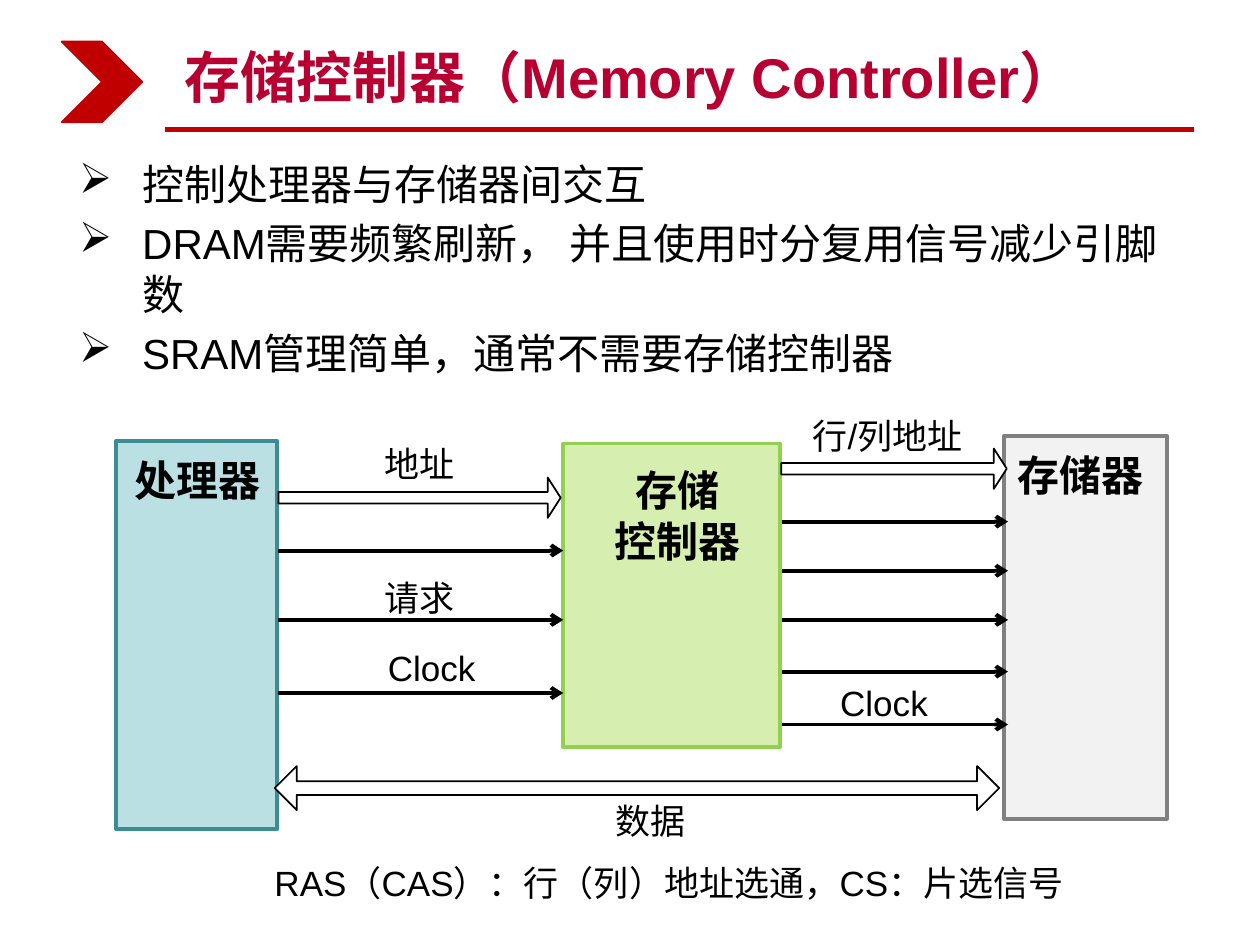
from pptx import Presentation
from pptx.dml.color import RGBColor
from pptx.enum.shapes import MSO_CONNECTOR, MSO_SHAPE
from pptx.enum.text import MSO_ANCHOR, PP_ALIGN
from pptx.oxml.ns import qn
from pptx.util import Inches, Pt
from lxml import etree

LINE = MSO_CONNECTOR.STRAIGHT
RECT = MSO_SHAPE.RECTANGLE
RIGHT = MSO_SHAPE.RIGHT_ARROW
BOTH = MSO_SHAPE.LEFT_RIGHT_ARROW
MARK = MSO_SHAPE.CHEVRON
LOW = MSO_ANCHOR.BOTTOM
MID = PP_ALIGN.CENTER
FONT = "Arial"

COLORS = {
    "ink": "000000",
    "paper": "FFFFFF",
    "title": "B70031",
    "rule": "C00000",
    "cpu": "BBE0E3",
    "cpu_edge": "3C8C93",
    "ctrl": "D6EEB0",
    "ctrl_edge": "92D050",
    "mem": "F2F2F2",
    "mem_edge": "808080",
}

POINTS = [
    "控制处理器与存储器间交互",
    "DRAM需要频繁刷新， 并且使用时分复用信号减少引脚数",
    "SRAM管理简单，通常不需要存储控制器",
]
BLOCKS = [
    ((0.92, 3.5, 1.28, 3.08), "cpu"),
    ((7.97, 3.46, 1.29, 3.04), "mem"),
    ((4.47, 3.52, 1.72, 2.41), "ctrl"),
]
BUSES = [
    (RIGHT, (2.21, 3.79, 2.24, 0.32), (0.285, 0.321)),
    (RIGHT, (6.2, 3.56, 1.79, 0.32), (0.285, 0.321)),
    (BOTH, (2.18, 6.08, 5.75, 0.35), (0.308, 0.5)),
]
WIRES = [
    (2.21, 4.47, (4.37, 4.92, 5.5)),
    (6.21, 8, (4.14, 4.53, 4.92, 5.33, 5.75)),
]
NAMES = [
    ("处理器", (0.97, 3.56, 1.33, 0.5)),
    ("存储器", (7.98, 3.52, 1.33, 0.5)),
]
LABELS = [
    ("地址", (2.95, 3.46, 1.07, 0.44)),
    ("请求", (2.95, 4.53, 1.07, 0.44)),
    ("Clock", (2.98, 5.08, 1.07, 0.44)),
    ("行/列地址", (6.35, 3.24, 1.61, 0.44)),
    ("Clock", (6.57, 5.36, 1.07, 0.44)),
    ("数据", (4.79, 6.3, 1.39, 0.44)),
    ("RAS（CAS）：行（列）地址选通，CS：片选信号", (2.08, 6.79, 6.92, 0.44)),
]


def color(key):
    """Return the named colour."""
    return RGBColor.from_string(COLORS[key])


def place(box):
    """Turn left, top, width and height into lengths."""
    return [Inches(n) for n in box]


def add_text(slide, text, box, size, bold=False, tint="ink", align=None):
    """Add a wrapped text box and return its frame."""
    frame = slide.shapes.add_textbox(*place(box)).text_frame
    frame.word_wrap = True
    frame.text = text
    for para in frame.paragraphs:
        para.alignment = align
        for run in para.runs:
            run.font.name = FONT
            run.font.size = Pt(size)
            run.font.bold = bold
            run.font.color.rgb = color(tint)
    return frame


def add_points(slide, items, box):
    """Add the list with arrow bullets and hanging indents."""
    frame = add_text(slide, "\n".join(items), box, 24)
    for i, para in enumerate(frame.paragraphs):
        props = para._p.get_or_add_pPr()
        props.set("marL", str(Inches(0.5)))
        props.set("indent", str(-Inches(0.5)))
        etree.SubElement(props, qn("a:buChar")).set("char", "➢")
        if i:
            para.space_before = Pt(5)


def add_shape(slide, kind, box, fill, edge, width, adjust=()):
    """Add a filled and outlined shape without shadow."""
    shape = slide.shapes.add_shape(kind, *place(box))
    shape.shadow.inherit = False
    shape.fill.solid()
    shape.fill.fore_color.rgb = color(fill)
    shape.line.color.rgb = color(edge)
    shape.line.width = Pt(width)
    for i, value in enumerate(adjust):
        shape.adjustments[i] = value


def add_line(slide, left, right, y, tint, width, arrow=False):
    """Add a level line, with an arrowhead at its right end if asked."""
    ends = place((left, y, right, y))
    line = slide.shapes.add_connector(LINE, *ends)
    line.line.color.rgb = color(tint)
    line.line.width = Pt(width)
    if arrow:
        pen = line.line._get_or_add_ln()
        etree.SubElement(pen, qn("a:tailEnd")).set("type", "arrow")
    etree.SubElement(line._element.spPr, qn("a:effectLst"))


def main():
    """Build the memory controller slide."""
    deck = Presentation()
    deck.slide_width, deck.slide_height = Inches(10), Inches(7.5)
    slide = deck.slides.add_slide(deck.slide_layouts[6])

    add_line(slide, 1.31, 9.48, 1.03, "rule", 3)
    add_shape(slide, MARK, (0.49, 0.33, 0.64, 0.64), "rule", "rule", 1)
    title = add_text(slide, "存储控制器（Memory Controller）",
                     (1.37, 0.25, 8, 0.67), 32, True, "title")
    title.vertical_anchor = LOW
    add_points(slide, POINTS, (0.53, 1.21, 8.95, 2.35))

    for box, key in BLOCKS:
        add_shape(slide, RECT, box, key, key + "_edge", 2.25)
    for kind, box, adjust in BUSES:
        add_shape(slide, kind, box, "paper", "ink", 1, adjust)
    for left, right, rows in WIRES:
        for y in rows:
            add_line(slide, left, right, y, "ink", 2.25, True)
    for text, box in NAMES:
        add_text(slide, text, box, 24, True)
    add_text(slide, "存储\n控制器", (4.67, 3.64, 1.41, 0.91), 24, True, align=MID)
    for text, box in LABELS:
        add_text(slide, text, box, 20)
    deck.save("out.pptx")


if __name__ == "__main__":
    main()
